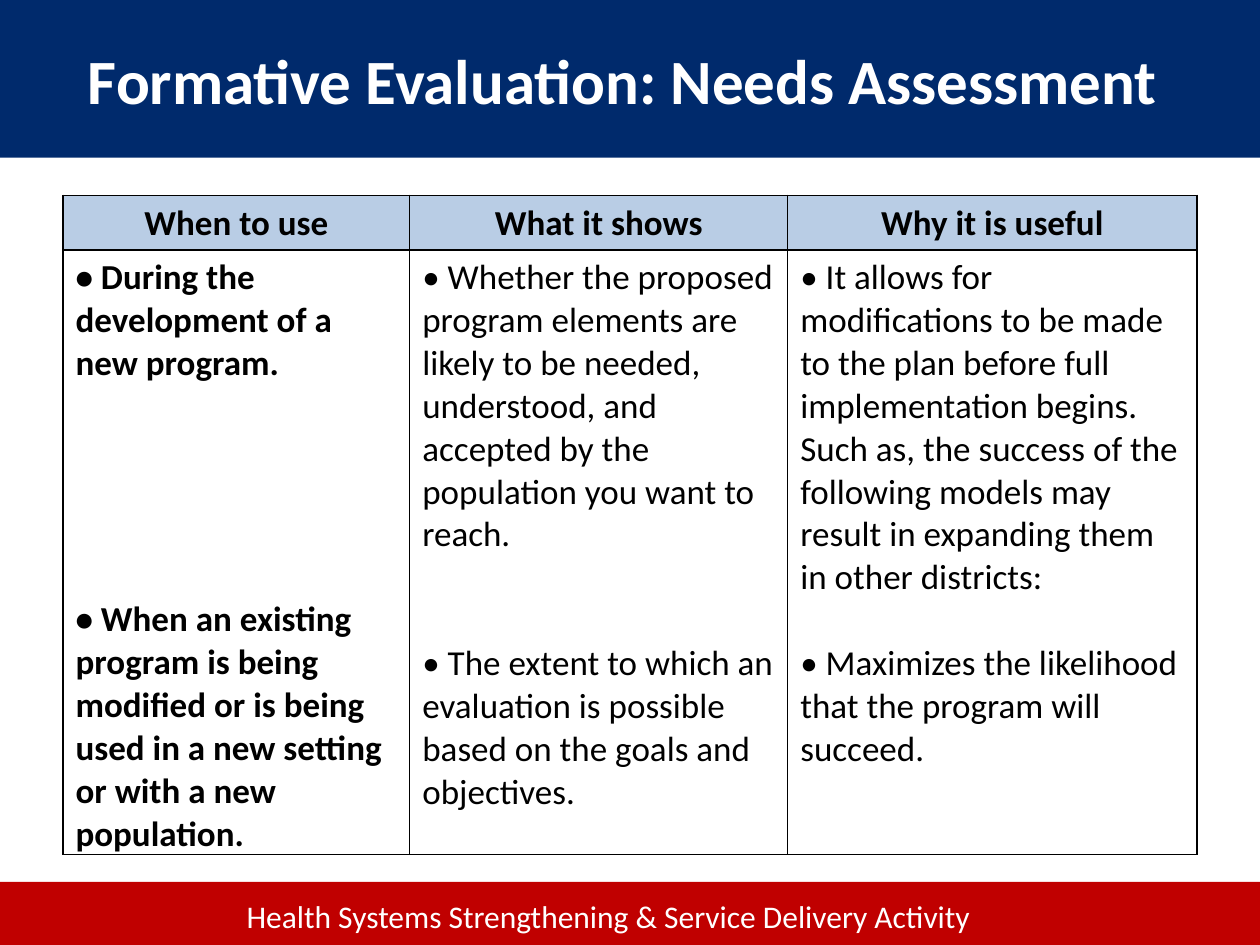
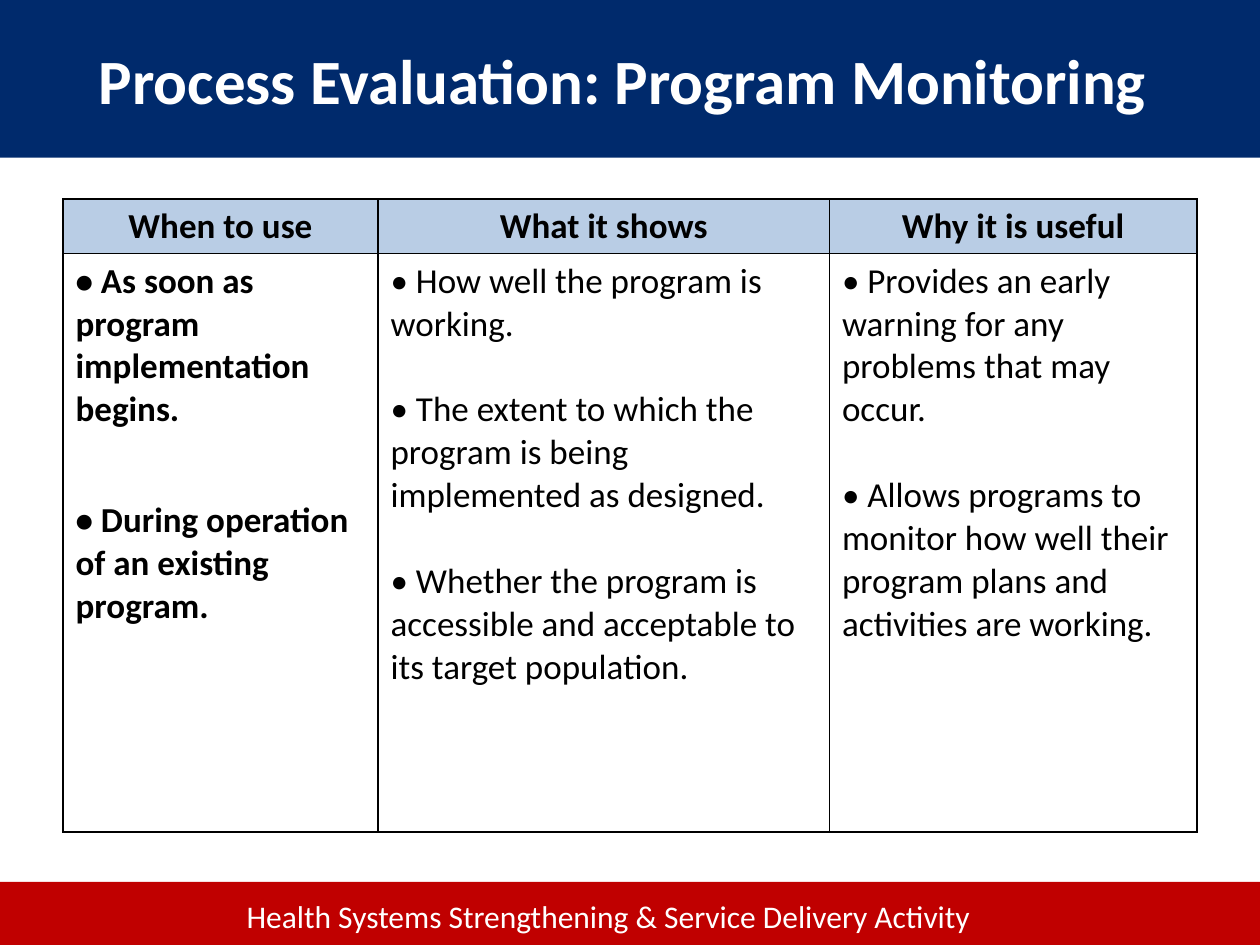
from dataclasses import dataclass

from lxml.etree import SubElement
from pptx import Presentation
from pptx.dml.color import RGBColor
from pptx.enum.shapes import MSO_SHAPE as Shape
from pptx.enum.text import MSO_ANCHOR as Anchor, MSO_AUTO_SIZE as AutoSize, PP_ALIGN as Align
from pptx.oxml.ns import qn
from pptx.util import Cm, Pt

WIDTH, HEIGHT = 25.4, 19.05
NAVY, RED, PALE_BLUE = "002A6C", "C00000", "B9CDE5"
WHITE, BLACK = "FFFFFF", "000000"
FONT = "Calibri"
TEXT_SIZE = 20
FOOTER = "Health Systems Strengthening & Service Delivery Activity"
HEADINGS = ("When to use", "What it shows", "Why it is useful")


@dataclass
class Evaluation:
    """One evaluation type: title, table layout in cm, points and the gaps between them in pt."""
    title: str
    top: float
    column_widths: tuple
    row_heights: tuple
    points: tuple
    gaps: tuple


EVALUATIONS = (
    Evaluation(
        "Formative Evaluation: Needs Assessment ", 3.94, (6.99, 7.62, 8.25), (1.02, 11.96),
        (
            ("During the development of a new program.",
             "When an existing program is being modified or is being used in a new setting "
             "or with a new population."),
            ("Whether the proposed program elements are likely to be needed, understood, "
             "and accepted by the population you want to reach.",
             "The extent to which an evaluation is possible based on the goals and objectives."),
            ("It allows for modifications to be made to the plan before full implementation "
             "begins. Such as, the success of the following models may result in expanding "
             "them in other districts:",
             "Maximizes the likelihood that the program will succeed."),
        ),
        (122, 49, 24.5),
    ),
    Evaluation(
        "Process Evaluation: Program Monitoring ", 4.01, (6.35, 9.1, 7.41), (1.1, 11.66),
        (
            ("As soon as program implementation begins.",
             "During operation of an existing program."),
            ("How well the program is working.",
             "The extent to which the program is being implemented as designed.",
             "Whether the program is accessible and acceptable to its target population."),
            ("Provides an early warning for any problems that may occur.",
             "Allows programs to monitor how well their program plans and activities "
             "are working."),
        ),
        (39, 24.5, 24.5),
    ),
)


def color(value):
    """Turn a hex string into a colour."""
    return RGBColor.from_string(value)


def write(paragraph, text, size, text_color, bold=False, align=Align.LEFT):
    """Put styled text into a paragraph."""
    paragraph.text = text
    paragraph.alignment = align
    font = paragraph.font
    font.name, font.size, font.bold = FONT, Pt(size), bold
    font.color.rgb = color(text_color)


def add_band(slide, top, height, fill):
    """Draw a full-width coloured band."""
    band = slide.shapes.add_shape(Shape.RECTANGLE, 0, Cm(top), Cm(WIDTH), Cm(height))
    band.shadow.inherit = False
    band.fill.solid()
    band.fill.fore_color.rgb = color(fill)
    band.line.fill.background()
    return band


def add_footer(slide, top):
    """Draw the footer band and its caption."""
    add_band(slide, top, 1.47, RED)
    caption = slide.shapes.add_textbox(Cm(-0.43), Cm(top + 0.18), Cm(WIDTH), Cm(1.02))
    frame = caption.text_frame
    frame.word_wrap = True
    frame.auto_size = AutoSize.SHAPE_TO_FIT_TEXT
    write(frame.paragraphs[0], FOOTER, 18, WHITE, align=Align.CENTER)


def add_title(slide, text):
    """Draw the title band."""
    frame = add_band(slide, 0, 3.18, NAVY).text_frame
    frame.word_wrap = True
    frame.vertical_anchor = Anchor.MIDDLE
    write(frame.paragraphs[0], text, 36, WHITE, True, Align.CENTER)


def style_cell(cell, fill):
    """Give a cell black borders on each side and a plain fill."""
    properties = cell._tc.get_or_add_tcPr()
    for side in ("a:lnL", "a:lnR", "a:lnT", "a:lnB"):
        line = SubElement(properties, qn(side), w=str(Pt(1)))
        SubElement(SubElement(line, qn("a:solidFill")), qn("a:srgbClr"), val=BLACK)
    cell.fill.solid()
    cell.fill.fore_color.rgb = color(fill)


def fill_points(cell, points, gap, bold):
    """List the points of one column, separated by its gap."""
    frame = cell.text_frame
    for index, point in enumerate(points):
        paragraph = frame.add_paragraph() if index else frame.paragraphs[0]
        write(paragraph, f"• {point}", TEXT_SIZE, BLACK, bold)
        if index:
            paragraph.space_before = Pt(gap)


def add_evaluation_table(slide, evaluation, left=1.27):
    """Draw the table of headings and points."""
    widths, heights = evaluation.column_widths, evaluation.row_heights
    table = slide.shapes.add_table(
        len(heights), len(widths), Cm(left), Cm(evaluation.top),
        Cm(sum(widths)), Cm(sum(heights))).table
    table.first_row = table.horz_banding = False
    for row, height in zip(table.rows, heights):
        row.height = Cm(height)
    columns = zip(widths, HEADINGS, evaluation.points, evaluation.gaps)
    for index, (width, heading, points, gap) in enumerate(columns):
        table.columns[index].width = Cm(width)
        header, body = table.cell(0, index), table.cell(1, index)
        style_cell(header, PALE_BLUE)
        style_cell(body, WHITE)
        write(header.text_frame.paragraphs[0], heading, TEXT_SIZE, BLACK, True, Align.CENTER)
        fill_points(body, points, gap, bold=index == 0)
    table.cell(0, 1).vertical_anchor = Anchor.BOTTOM


def add_evaluation_slide(presentation, evaluation):
    """Add one slide with footer, title and table."""
    slide = presentation.slides.add_slide(presentation.slide_layouts[6])
    add_footer(slide, 17.78)
    add_title(slide, evaluation.title)
    add_evaluation_table(slide, evaluation)


def main():
    """Build and save the presentation."""
    presentation = Presentation()
    presentation.slide_width, presentation.slide_height = Cm(WIDTH), Cm(HEIGHT)
    for evaluation in EVALUATIONS:
        add_evaluation_slide(presentation, evaluation)
    presentation.save("out.pptx")


if __name__ == "__main__":
    main()
